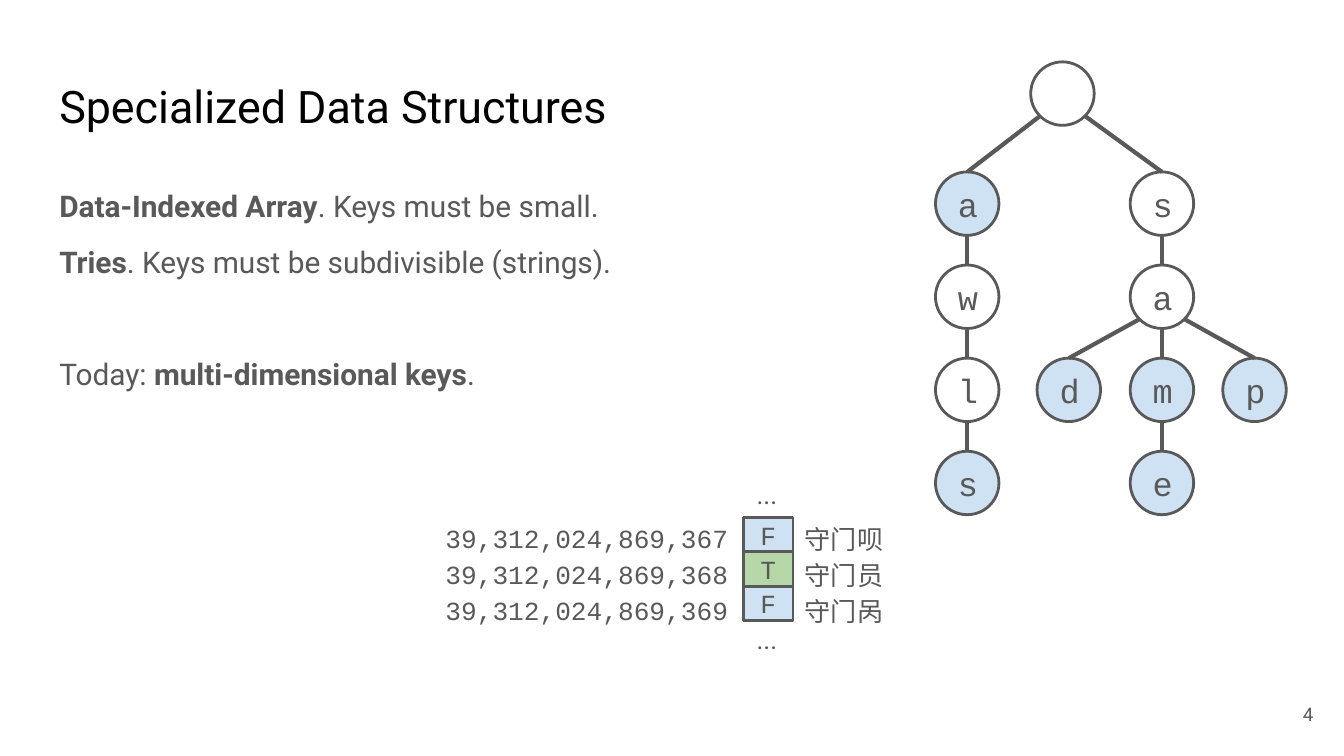
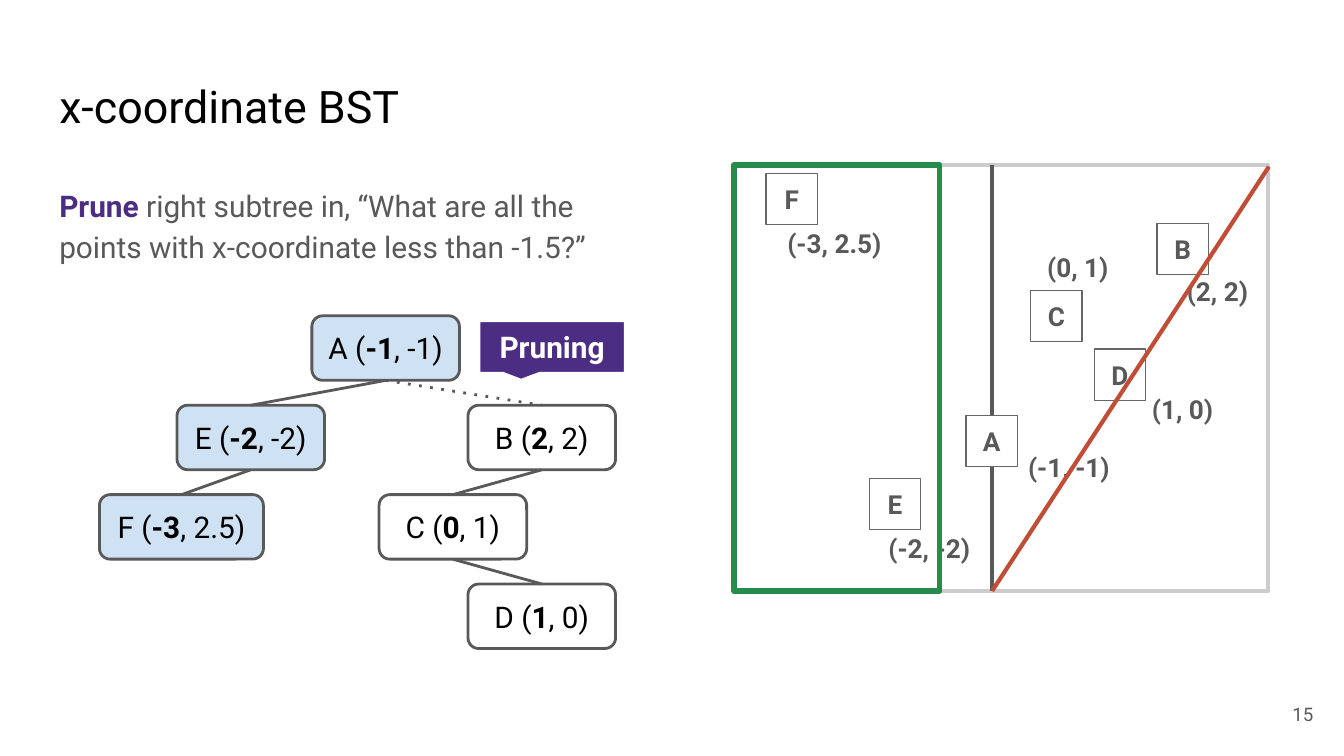
from lxml import etree
from pptx import Presentation
from pptx import util as u
from pptx.dml.color import RGBColor
from pptx.enum import shapes, text
from pptx.oxml.ns import qn

COLORS = {
    "ink": "000000", "gray": "595959", "square": "666666", "frame": "CCCCCC",
    "white": "FFFFFF", "blue": "CFE2F3", "lime": "B6D7A8",
    "green": "278B4C", "red": "C04E36", "purple": "4B2E83",
}
RGB = {name: RGBColor.from_string(value) for name, value in COLORS.items()}
KIND = shapes.MSO_SHAPE
STRAIGHT = shapes.MSO_CONNECTOR.STRAIGHT
LEFT, CENTER, RIGHT = text.PP_ALIGN.LEFT, text.PP_ALIGN.CENTER, text.PP_ALIGN.RIGHT
TOP, MIDDLE = text.MSO_ANCHOR.TOP, text.MSO_ANCHOR.MIDDLE


def draw(page, kind, place, line, weight, fill=None):
    """Add a shape (left, top, width, height) or a connector (x1, y1, x2, y2), in cm."""
    is_line = kind == STRAIGHT and isinstance(kind, shapes.MSO_CONNECTOR)
    add = page.shapes.add_connector if is_line else page.shapes.add_shape
    item = add(kind, *[u.Cm(value) for value in place])
    item.line.color.rgb = RGB[line]
    item.line.width = u.Pt(weight)
    if is_line:
        etree.SubElement(item._element.spPr, qn("a:effectLst"))
        return item
    item.shadow.inherit = False
    if fill:
        item.fill.solid()
        item.fill.fore_color.rgb = RGB[fill]
    else:
        item.fill.background()
    return item


def write(item, lines, size, color="gray", font="Roboto", align=LEFT,
          anchor=MIDDLE, inset=(0.25, 0.25), spacing=None):
    """Fill a shape with paragraphs, each a list of (words, bold) spans."""
    frame = item.text_frame
    frame.word_wrap = True
    frame.auto_size = text.MSO_AUTO_SIZE.NONE
    frame.vertical_anchor = anchor
    frame.margin_left = frame.margin_right = u.Cm(inset[0])
    frame.margin_top = frame.margin_bottom = u.Cm(inset[1])
    for index, spans in enumerate(lines):
        para = frame.add_paragraph() if index else frame.paragraphs[0]
        para.alignment = align
        para.space_before = u.Pt(0)
        if spacing:
            para.line_spacing = spacing
        for words, bold in spans:
            span = para.add_run()
            span.text = words
            span.font.name = font
            span.font.size = u.Pt(size)
            span.font.bold = bold
            span.font.color.rgb = RGB[color]


deck = Presentation()
deck.slide_width, deck.slide_height = u.Cm(25.4), u.Cm(14.29)

# Shared title, body and page number
slides = [
    ("Specialized Data Structures", "4", 9.5, [
        [("Data-Indexed Array", True), (". Keys must be small.", False)],
        [("Tries", True), (". Keys must be subdivisible (strings).", False)],
        [("Today: ", False), ("multi-dimensional keys", True), (".", False)],
    ]),
    ("x-coordinate BST", "15", 1.9, [
        [("Prune", True), (" right subtree in, “What are all the points with "
                           "x-coordinate less than -1.5?”", False)],
    ]),
]
pages, bodies = [], []
for heading, number, body_height, lines in slides:
    page = deck.slides.add_slide(deck.slide_layouts[1])
    title, body = page.shapes.title, page.placeholders[1]
    for holder, top, height in [(title, 1.24, 1.6), (body, 3.2, body_height)]:
        holder.left, holder.top = u.Cm(0.87), u.Cm(top)
        holder.width, holder.height = u.Cm(10.97), u.Cm(height)
    write(title, [[(heading, False)]], 24, "ink", anchor=TOP)
    write(body, lines, 16, anchor=TOP, spacing=1.15)
    for para in body.text_frame.paragraphs:
        props = para._p.get_or_add_pPr()
        props.set("marL", "0")
        props.set("indent", "0")
        etree.SubElement(props, qn("a:buNone"))
    footer = page.shapes.add_textbox(u.Cm(23.55), u.Cm(12.95), u.Cm(1.52), u.Cm(1.09))
    write(footer, [[(number, False)]], 10, align=RIGHT)
    pages.append(page)
    bodies.append(body)

# Slide 1: trie
page = pages[0]
tries_line, today_line = bodies[0].text_frame.paragraphs[1:]
tries_line.space_before, today_line.space_before = u.Pt(8), u.Pt(38)

RADIUS, DIAGONAL = 0.6, 0.42
levels = [1.77] + [3.85 + 1.76 * step for step in range(4)]
# prefix: (centre x, fill); the prefix length is the level
trie = {
    "": (20.08, "white"),
    "a": (18.28, "blue"), "aw": (18.28, "white"),
    "awl": (18.28, "white"), "awls": (18.28, "blue"),
    "s": (21.96, "white"), "sa": (21.96, "white"),
    "sad": (20.2, "blue"), "sam": (21.96, "blue"), "sap": (23.71, "blue"),
    "same": (21.96, "blue"),
}
for prefix, (x, fill) in trie.items():
    y = levels[len(prefix)]
    node = draw(page, KIND.OVAL, (x - RADIUS, y - RADIUS, 2 * RADIUS, 2 * RADIUS),
                "gray", 1.5, fill)
    if not prefix:
        continue
    write(node, [[(prefix[-1], False)]], 18, font="Courier New")
    parent_x, parent_y = trie[prefix[:-1]][0], levels[len(prefix) - 1]
    side = (x > parent_x) - (x < parent_x)
    drop = DIAGONAL if side else RADIUS
    draw(page, STRAIGHT, (parent_x + side * DIAGONAL, parent_y + drop, x, y - RADIUS),
         "gray", 2.25)

# Slide 1: data-indexed array
for row, (flag, fill) in enumerate([("F", "blue"), ("T", "lime"), ("F", "blue")]):
    cell = draw(page, KIND.RECTANGLE, (14.05, 9.78 + 0.65 * row, 0.94, 0.65),
                "gray", 1.5, fill)
    write(cell, [[(flag, False)]], 14, font="Courier New", align=CENTER)

keys = [f"39,312,024,869,{key}" for key in (367, 368, 369)]
labels = [
    ((8.12, 9.7, 5.9, 2.21), keys, "Courier New", RIGHT, MIDDLE, 1.15),
    ((14.96, 9.83, 2.29, 1.98), ["守门呗", "守门员", "守门呙"],
     "Courier New", LEFT, MIDDLE, 1.15),
    ((14.05, 8.79, 0.94, 0.66), ["..."], "Roboto", LEFT, TOP, None),
    ((14.05, 11.53, 0.94, 0.66), ["..."], "Roboto", LEFT, TOP, None),
]
for place, words, font, align, anchor, spacing in labels:
    box = page.shapes.add_textbox(*[u.Cm(value) for value in place])
    write(box, [[(word, False)] for word in words], 14, font=font, align=align,
          anchor=anchor, spacing=spacing)

# Slide 2: points in the plane
page = pages[1]
bodies[1].text_frame.paragraphs[0].runs[0].font.color.rgb = RGB["purple"]

draw(page, KIND.RECTANGLE, (13.89, 3.12, 10.08, 8.05), "frame", 2.25, "white")
draw(page, STRAIGHT, (18.75, 11.17, 18.75, 3.12), "gray", 2.25)

# name: (x, y), square left and top, label left and top
points = {
    "A": (("-1", "-1"), (18.26, 7.85), (19.43, 8.53)),
    "B": (("2", "2"), (21.87, 4.22), (22.43, 5.21)),
    "C": (("0", "1"), (19.48, 5.49), (19.79, 4.75)),
    "D": (("1", "0"), (20.68, 6.6), (21.77, 7.44)),
    "E": (("-2", "-2"), (16.43, 9.04), (16.79, 10.06)),
    "F": (("-3", "2.5"), (14.48, 3.28), (14.88, 4.29)),
}
for name, ((x, y), corner, label_corner) in points.items():
    square = draw(page, KIND.RECTANGLE, (*corner, 0.97, 0.97), "square", 0.75, "white")
    write(square, [[(name, True)]], 14, align=CENTER)
    left, top = label_corner
    box = page.shapes.add_textbox(u.Cm(left), u.Cm(top), u.Cm(2.1), u.Cm(0.79))
    write(box, [[(f"({x}, {y})", True)]], 14, anchor=TOP, inset=(0, 0))

# Slide 2: search tree
# name: centre x, level, width, fill
tree = {
    "A": (7.29, 0, 2.79, "blue"),
    "B": (10.24, 1, 2.79, "white"),
    "C": (8.56, 2, 2.79, "white"),
    "D": (10.24, 3, 2.79, "white"),
    "E": (4.74, 1, 2.79, "blue"),
    "F": (3.43, 2, 3.1, "blue"),
}
nodes = {}
for name, (center, level, width, fill) in tree.items():
    node = draw(page, KIND.ROUNDED_RECTANGLE,
                (center - width / 2, 5.97 + 1.69 * level, width, 1.22), "gray", 1.5, fill)
    x, y = points[name][0]
    write(node, [[(f"{name} (", False), (x, True), (f", {y})", False)]], 16, "ink",
          align=CENTER, inset=(0, 0.25))
    nodes[name] = node

for parent, child in ["AE", "AB", "BC", "CD", "EF"]:
    edge = draw(page, STRAIGHT, (0, 0, 0, 0), "gray", 1.5)
    edge.begin_connect(nodes[parent], 2)
    edge.end_connect(nodes[child], 0)
    if parent + child == "AB":
        etree.SubElement(edge.line._get_or_add_ln(), qn("a:prstDash"), val="dot")

# Slide 2: search region and pruning mark
draw(page, KIND.RECTANGLE, (13.87, 3.12, 3.89, 8.05), "green", 3)
draw(page, STRAIGHT, (18.75, 11.17, 23.98, 3.15), "red", 2.25)
callout = draw(page, KIND.ROUNDED_RECTANGULAR_CALLOUT, (9.04, 6.05, 2.79, 1.02),
               "white", 2.25, "purple")
for index, value in enumerate((-0.21, 0.63, 0)):
    callout.adjustments[index] = value
write(callout, [[("Pruning", True)]], 16, "white", align=CENTER)

deck.save("out.pptx")
